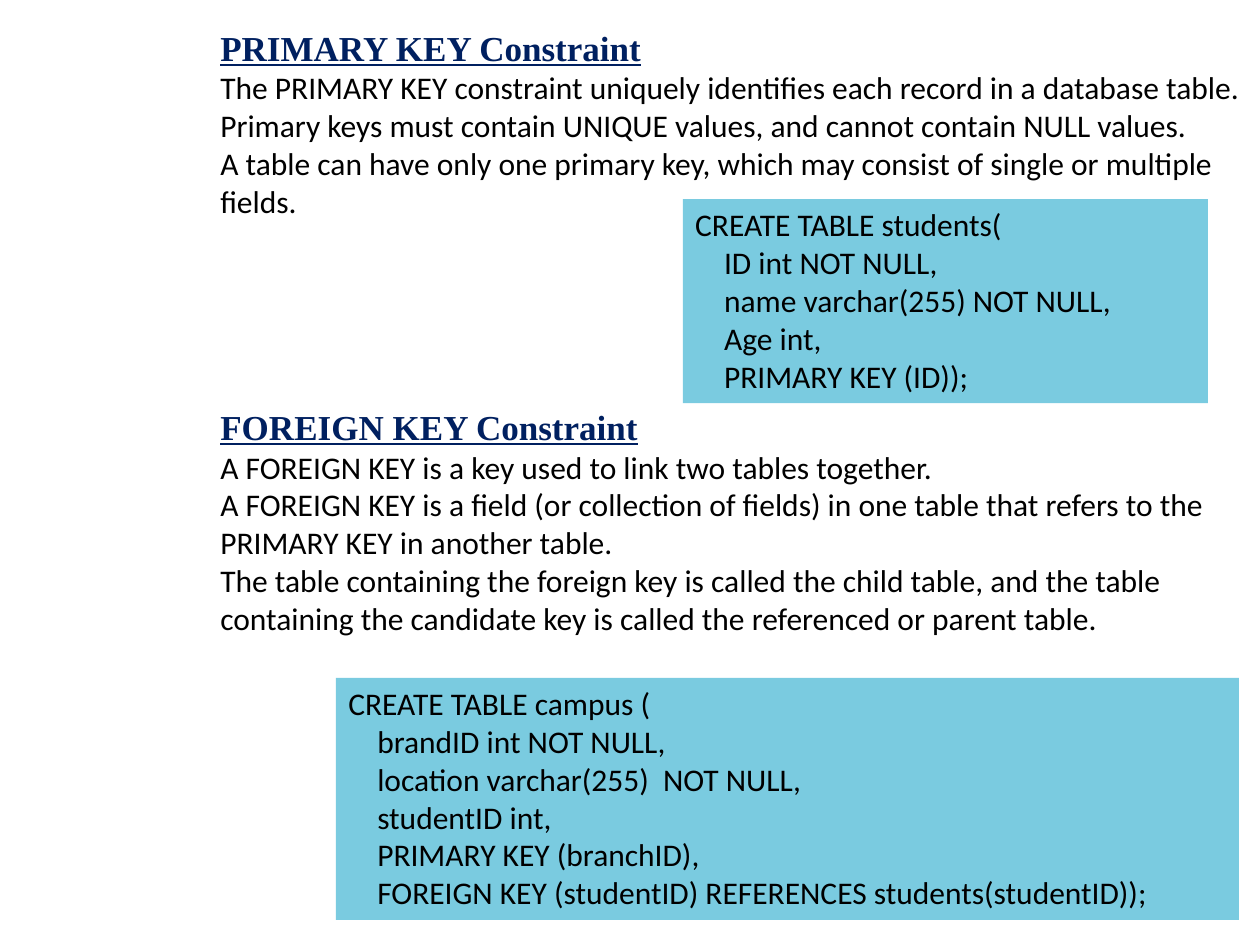
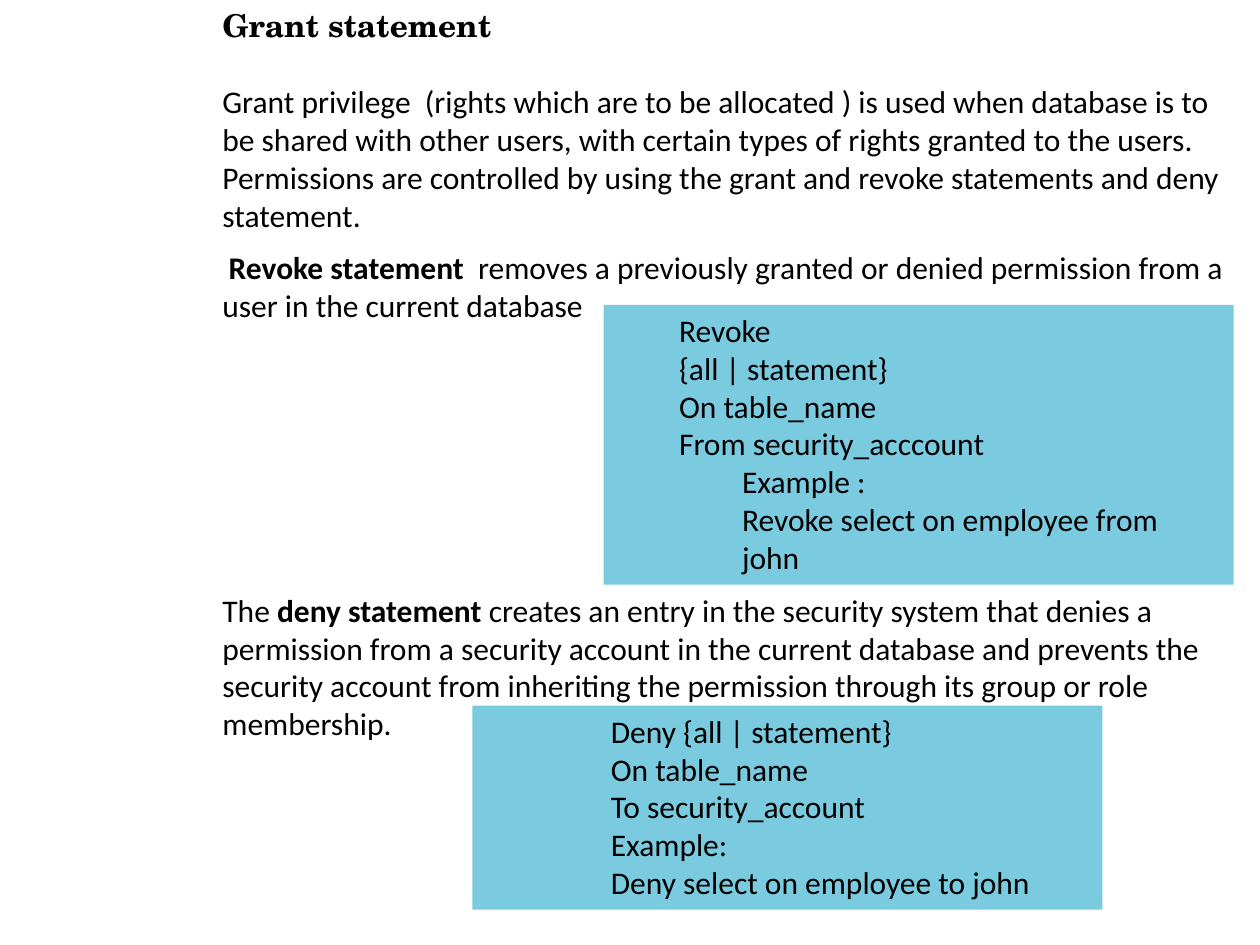
import pptx
import pptx.util
import pptx.dml.color
import pptx.enum.shapes
import pptx.enum.text

Pt = pptx.util.Pt
COLORS = {"heading": "002060", "text": "000000", "code": "7ACBE0"}
BODY = {"font": "Calibri", "size": 18, "color": "text"}
BOLD = {**BODY, "bold": True}
KEY_HEADING = {"font": "Times New Roman", "size": 20, "color": "heading",
               "bold": True, "underline": True}
GRANT_HEADING = {**BOLD, "font": "TeX Gyre Schola"}
COLUMN_INDENT = 16.5
LEVEL_INDENT = 36


def rgb(name):
    return pptx.dml.color.RGBColor.from_string(COLORS[name])


def add_run(p, text, style):
    r = p.add_run()
    r.text = text
    r.font.name = style["font"]
    r.font.size = Pt(style["size"])
    r.font.bold = style.get("bold", False)
    r.font.underline = style.get("underline", False)
    r.font.color.rgb = rgb(style["color"])


def fill_text(tf, paragraphs):
    tf.word_wrap = True
    tf.vertical_anchor = pptx.enum.text.MSO_ANCHOR.TOP
    for i, para in enumerate(paragraphs):
        p = tf.add_paragraph() if i else tf.paragraphs[0]
        p.alignment = pptx.enum.text.PP_ALIGN.LEFT
        p.space_after = Pt(para.get("after", 0))
        pPr = p._p.get_or_add_pPr()
        pPr.set("marL", str(Pt(para.get("margin", 0))))
        pPr.set("indent", str(Pt(para.get("first", 0))))
        for text, style in para["runs"]:
            add_run(p, text, style)


def line(text, style=BODY, **layout):
    return {"runs": [(text, style)], **layout}


def add_code(s, box, paragraphs):
    sp = s.shapes.add_shape(pptx.enum.shapes.MSO_SHAPE.RECTANGLE, *map(Pt, box))
    sp.shadow.inherit = False
    sp.fill.solid()
    sp.fill.fore_color.rgb = rgb("code")
    sp.line.fill.background()
    fill_text(sp.text_frame, paragraphs)


def add_topic(s, box, prose, code=None, offset=(0, 0), code_size=(0, 0)):
    sp = s.shapes.add_textbox(*map(Pt, box))
    fill_text(sp.text_frame, prose)
    if code:
        left, top = box[:2]
        add_code(s, (left + offset[0], top + offset[1], *code_size), code)


def create_table(name, columns):
    return [line(f"CREATE TABLE {name}(")] + [
        line(column, margin=COLUMN_INDENT) for column in columns]


def statement(level, lines):
    return [line(text, margin=level * LEVEL_INDENT) for text in lines]


def add_key_slide(prs):
    s = prs.slides.add_slide(prs.slide_layouts[6])
    add_topic(
        s, (118.8, 11.5, 600, 119),
        [line("PRIMARY KEY Constraint", KEY_HEADING),
         line("The PRIMARY KEY constraint uniquely identifies each record in a database table."),
         line("Primary keys must contain UNIQUE values, and cannot contain NULL values."),
         line("A table can have only one primary key, which may consist of single or multiple fields.")],
        create_table("students", ["ID int NOT NULL,", "name varchar(255) NOT NULL,",
                                  "Age int,", "PRIMARY KEY (ID));"]),
        (271.4, 102.3), (300, 116.6))
    add_topic(
        s, (118.8, 228.2, 600, 140.4),
        [line("FOREIGN KEY Constraint", KEY_HEADING),
         line("A FOREIGN KEY is a key used to link two tables together."),
         line("A FOREIGN KEY is a field (or collection of fields) in one table that refers to "
              "the PRIMARY KEY in another table."),
         line("The table containing the foreign key is called the child table, and the table "
              "containing the candidate key is called the referenced or parent table.")],
        create_table("campus ", ["brandID int NOT NULL,", "location varchar(255)  NOT NULL,",
                                 "studentID int,", "PRIMARY KEY (branchID),",
                                 "FOREIGN KEY (studentID) REFERENCES students(studentID));"]),
        (73.2, 159.2), (516, 138.2))


def add_permission_slide(prs):
    s = prs.slides.add_slide(prs.slide_layouts[6])
    add_topic(
        s, (120, 0, 600, 138.2),
        [line("Grant statement", GRANT_HEADING, after=22),
         line("Grant privilege  (rights which are to be allocated ) is used when database is to "
              "be shared with other users, with certain types of rights granted to the users."),
         line("Permissions are controlled by using the grant and revoke statements and deny "
              "statement.")])
    add_topic(
        s, (120, 138.2, 588, 51),
        [{"first": 3.6,
          "runs": [("Revoke statement  ", BOLD),
                   ("removes a previously granted or denied permission from a user in the "
                    "current database", BODY)]}],
        statement(1, ["Revoke", "{all | statement}", "On table_name", "From security_acccount"])
        + statement(2, ["Example :", "Revoke select on employee from john"]),
        (225, 36), (360, 160))
    add_topic(
        s, (120, 334, 588, 98),
        [{"runs": [("The ", BODY), ("deny statement ", BOLD),
                   ("creates an entry in the security system that denies a permission from a "
                    "security account in the current database and prevents the security account "
                    "from inheriting the permission through its group or role membership.", BODY)]}],
        statement(2, ["Deny {all | statement}", "On table_name", "To security_account",
                      "Example:", "Deny select on employee to john"]),
        (150, 69.2), (360, 116.6))


def main():
    prs = pptx.Presentation()
    prs.slide_width, prs.slide_height = Pt(720), Pt(540)
    add_key_slide(prs)
    add_permission_slide(prs)
    prs.save("out.pptx")


if __name__ == "__main__":
    main()
